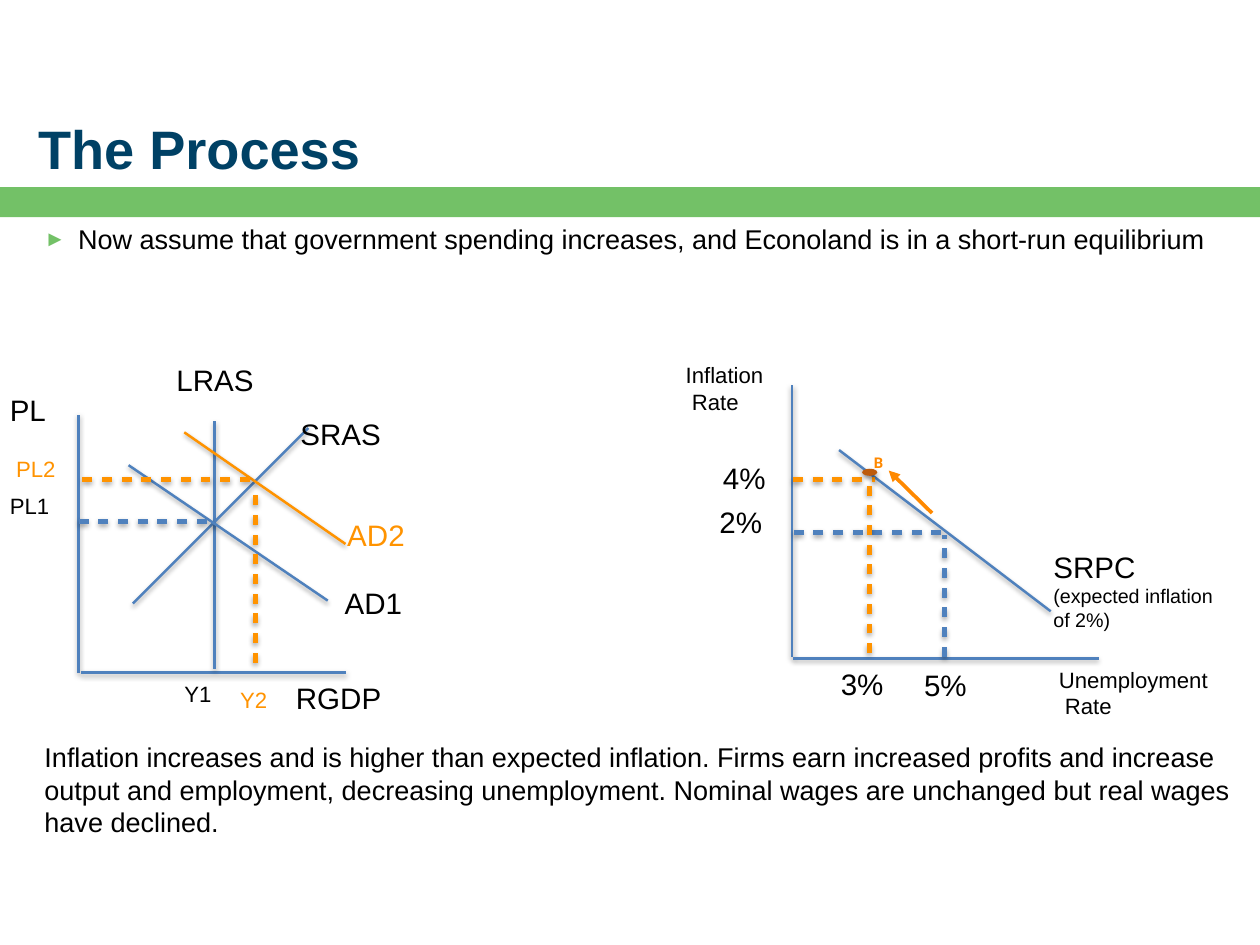
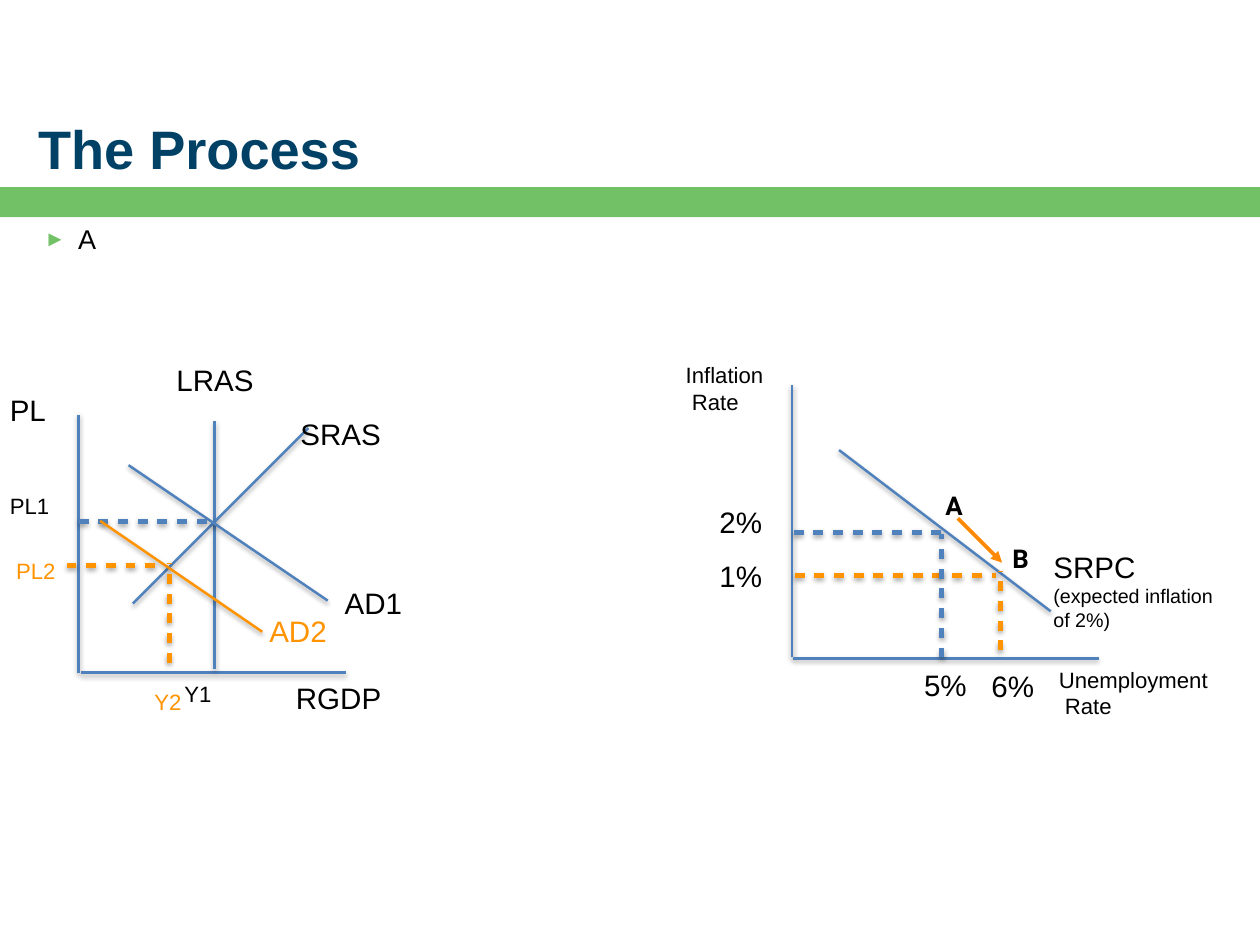
from pptx import Presentation
from pptx.dml.color import RGBColor
from pptx.enum.shapes import MSO_CONNECTOR, MSO_SHAPE
from pptx.enum.text import MSO_ANCHOR, PP_ALIGN
from pptx.oxml import parse_xml
from pptx.oxml.ns import nsdecls
from pptx.util import Inches, Pt

STRAIGHT = MSO_CONNECTOR.STRAIGHT
RECTANGLE, OVAL = MSO_SHAPE.RECTANGLE, MSO_SHAPE.OVAL
TOP, MIDDLE, BOTTOM = MSO_ANCHOR.TOP, MSO_ANCHOR.MIDDLE, MSO_ANCHOR.BOTTOM
LEFT, CENTER = PP_ALIGN.LEFT, PP_ALIGN.CENTER

GREEN = RGBColor(0x73, 0xC1, 0x67)
NAVY = RGBColor(0x00, 0x41, 0x65)
BLACK = RGBColor(0x00, 0x00, 0x00)
BLUE = RGBColor(0x4F, 0x81, 0xBD)
ORANGE = RGBColor(0xFF, 0x93, 0x00)
ARROW_ORANGE = RGBColor(0xFF, 0x89, 0x00)
RUST = RGBColor(0xBD, 0x5B, 0x0C)

# The slide is a grid of 64 columns by 48 rows of square cells.
COLUMNS, ROWS = 64, 48
CELL = Inches(14.22) / COLUMNS
INSET = 0.32
THIN, THICK = 2, 4

SHADOW = (
    f'<a:effectLst {nsdecls("a")}><a:outerShdw blurRad="50800" dist="25400" dir="5400000">'
    '<a:srgbClr val="000000"><a:alpha val="35000"/></a:srgbClr></a:outerShdw></a:effectLst>'
)
NO_EFFECT = f'<a:effectLst {nsdecls("a")}/>'
DASH = f'<a:custDash {nsdecls("a")}><a:ds d="200000" sp="200000"/></a:custDash>'
ARROWHEAD = f'<a:tailEnd {nsdecls("a")} type="triangle"/>'
BULLET = (
    f'<a:buClr {nsdecls("a")}><a:srgbClr val="{GREEN}"/></a:buClr>',
    f'<a:buSzPct {nsdecls("a")} val="80000"/>',
    f'<a:buFont {nsdecls("a")} typeface="Arial"/>',
    f'<a:buChar {nsdecls("a")} char="►"/>',
)


def add_text(page, text, left, top, width, height=2.88, size=24, color=BLACK, font="Arial",
             bold=False, inset=0, anchor=TOP, align=LEFT, wrap=True, before=0, bullet=False):
    """Place text in grid cells; size is one number, or one number for each line."""
    box = page.shapes.add_textbox(*(round(n * CELL) for n in (left, top, width, height)))
    frame = box.text_frame
    frame.word_wrap = wrap
    frame.vertical_anchor = anchor
    frame.margin_left = frame.margin_right = round(inset * CELL)
    frame.margin_top = frame.margin_bottom = round(inset * CELL)
    lines = text.split("\n")
    sizes = size if isinstance(size, tuple) else (size,) * len(lines)
    for index, (line, points) in enumerate(zip(lines, sizes)):
        para = frame.paragraphs[0] if index == 0 else frame.add_paragraph()
        para.alignment = align
        para.space_before = Pt(before)
        span = para.add_run()
        span.text = line
        span.font.name = font
        span.font.size = Pt(points)
        span.font.bold = bold
        span.font.color.rgb = color
        if bullet:
            properties = para._p.get_or_add_pPr()
            properties.set("marL", str(Inches(0.38)))
            properties.set("indent", str(-Inches(0.38)))
            for mark in BULLET:
                properties.append(parse_xml(mark))


def add_line(page, ends, color=BLUE, weight=THIN, dashed=False, arrow=False):
    """Draw a line between two grid points; only arrows go without a shadow."""
    line = page.shapes.add_connector(STRAIGHT, *(round(n * CELL) for n in ends))
    line.line.color.rgb = color
    line.line.width = Pt(weight)
    outline = line.line._get_or_add_ln()
    if dashed:
        outline.append(parse_xml(DASH))
    if arrow:
        outline.append(parse_xml(ARROWHEAD))
    line._element.spPr.append(parse_xml(NO_EFFECT if arrow else SHADOW))


AXES_AND_CURVES = [
    (4, 34.2, 4, 21.06),              # price level axis
    (4.14, 34.16, 17.6, 34.16),       # output axis
    (10.89, 33.98, 10.89, 21.38),     # LRAS
    (6.75, 30.65, 15.66, 21.74),      # SRAS
    (16.65, 30.51, 6.53, 23.63),      # AD1
    (40.23, 33.35, 40.23, 19.58),     # inflation axis
    (40.28, 33.44, 55.8, 33.44),      # unemployment axis
    (42.62, 22.86, 53.37, 31.05),     # SRPC
]
START_GUIDES = [(4, 26.5, 10.85, 26.5), (40.32, 27.05, 47.93, 27.05)]

# text, left, top, width
LARGE_LABELS = [
    ("LRAS", 8.96, 18.36, 4.5),
    ("SRAS", 15.26, 21.11, 4.59),
    ("AD1", 17.51, 29.7, 3.92),
    ("RGDP", 15.03, 34.56, 5.09),
    ("PL", 0.5, 19.89, 2.48),
    ("2%", 36.54, 25.61, 2.97),
    ("5%", 46.94, 33.89, 2.97),
]
SMALL_LABELS = [
    ("Y1", 9.36, 34.56, 2.16),
    ("PL1", 0.5, 25.02, 2.79),
    ("Unemployment\n Rate", 53.78, 33.84, 9.68),
    ("Inflation\n Rate", 34.83, 18.36, 5.27),
]

PAGES = [
    {
        "lead": "Now assume that government spending increases, and Econoland is in a "
                "short-run equilibrium",
        "closing": "Inflation increases and is higher than expected inflation. Firms earn "
                   "increased profits and increase output and employment, decreasing "
                   "unemployment. Nominal wages are unchanged but real wages have declined.",
        "demand": (17.55, 27.63, 9.36, 21.96),
        "demand_label": (17.64, 26.24),
        "guides": [
            (12.96, 33.66, 12.96, 24.75),
            (4.19, 24.35, 13.05, 24.35),
            (40.28, 24.35, 44.46, 24.35),
            (44.15, 33.17, 44.15, 24.26),
        ],
        "start_drop": (47.97, 33.35, 47.97, 27.18),
        "small": [("Y2", 11.88, 34.56, 2.16), ("PL2", 0.5, 22.82, 2.79)],
        "rates": [("4%", 36.72, 23.36), ("3%", 42.71, 33.84)],
        "move": (47.34, 26.06, 45.14, 23.9),
        "dot": (43.79, 23.81, 0.77, 0.36),
        "points": [("B", 44.06, 22.82, 1.13, 1.4)],
        "point_style": {"size": 12, "color": ARROW_ORANGE},
    },
    {
        "lead": "A",
        "closing": None,
        "demand": (13.32, 32.09, 5.09, 26.46),
        "demand_label": (13.68, 31.14),
        "guides": [
            (8.6, 33.66, 8.6, 28.58),
            (3.38, 28.71, 8.06, 28.71),
            (40.37, 29.25, 50.58, 29.25),
            (50.81, 33.03, 50.81, 28.98),
        ],
        "start_drop": (47.84, 33.39, 47.84, 27.14),
        "small": [("Y2", 7.52, 34.65, 2.16), ("PL2", 0.5, 27.99, 2.79)],
        "rates": [("1%", 36.54, 28.35), ("6%", 50.36, 33.93)],
        "move": (48.65, 26.33, 50.9, 28.58),
        "dot": None,
        "points": [("A", 47.7, 24.62, 1.53, 2.07), ("B", 51.08, 27.32, 1.53, 2.07)],
        "point_style": {"size": 21, "color": BLACK},
    },
]

deck = Presentation()
deck.slide_width = round(COLUMNS * CELL)
deck.slide_height = round(ROWS * CELL)

for content in PAGES:
    page = deck.slides.add_slide(deck.slide_layouts[6])

    band = page.shapes.add_shape(RECTANGLE, 0, round(9.5 * CELL), deck.slide_width,
                                 round(1.53 * CELL))
    band.shadow.inherit = False
    band.fill.solid()
    band.fill.fore_color.rgb = GREEN
    band.line.fill.background()
    add_text(page, "The Process", 1.94, 0.63, 57.29, 8.55, size=44, color=NAVY, bold=True,
             anchor=BOTTOM)
    add_text(page, content["lead"], 1.94, 10.98, 61.56, 2.5, size=22, inset=INSET, before=6,
             bullet=True)
    if content["closing"]:
        add_text(page, content["closing"], 1.94, 37.3, 61.56, 6, size=22, inset=INSET, before=6)

    for ends in AXES_AND_CURVES:
        add_line(page, ends)
    for ends in START_GUIDES:
        add_line(page, ends, weight=THICK, dashed=True)
    for label in LARGE_LABELS:
        add_text(page, *label)
    for label in SMALL_LABELS:
        add_text(page, *label, size=18)
    add_text(page, "SRPC\n(expected inflation\nof 2%)", 53.51, 27.86, 10.26, 5.72,
             size=(24, 16, 16))

    add_line(page, content["demand"], color=ORANGE)
    add_text(page, "AD2", *content["demand_label"], 3.92, color=ORANGE)
    for ends in content["guides"]:
        add_line(page, ends, color=ORANGE, weight=THICK, dashed=True)
    for label in content["small"]:
        add_text(page, *label, 2.34, size=18, color=ORANGE, inset=INSET)
    for label in content["rates"]:
        add_text(page, *label, 2.97)

    add_line(page, content["move"], color=ARROW_ORANGE, weight=3, arrow=True)
    if content["dot"]:
        dot = page.shapes.add_shape(OVAL, *(round(n * CELL) for n in content["dot"]))
        dot.fill.solid()
        dot.fill.fore_color.rgb = RUST
        dot.line.fill.background()
        dot._element.spPr.append(parse_xml(SHADOW))
    add_line(page, content["start_drop"], weight=THICK, dashed=True)
    for point in content["points"]:
        add_text(page, *point, font="Roboto", bold=True, inset=0.27, anchor=MIDDLE,
                 align=CENTER, wrap=False, **content["point_style"])

deck.save("out.pptx")
